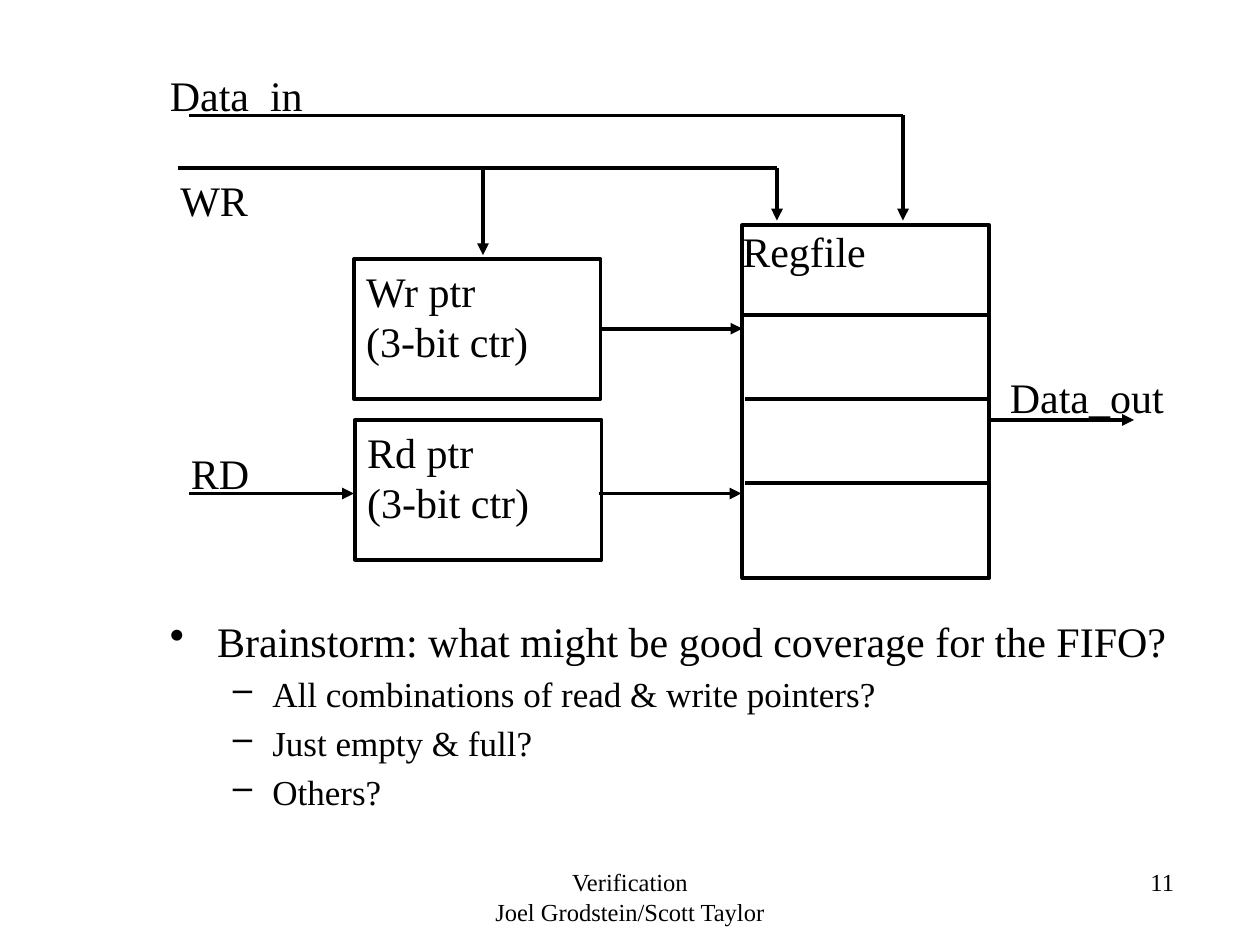
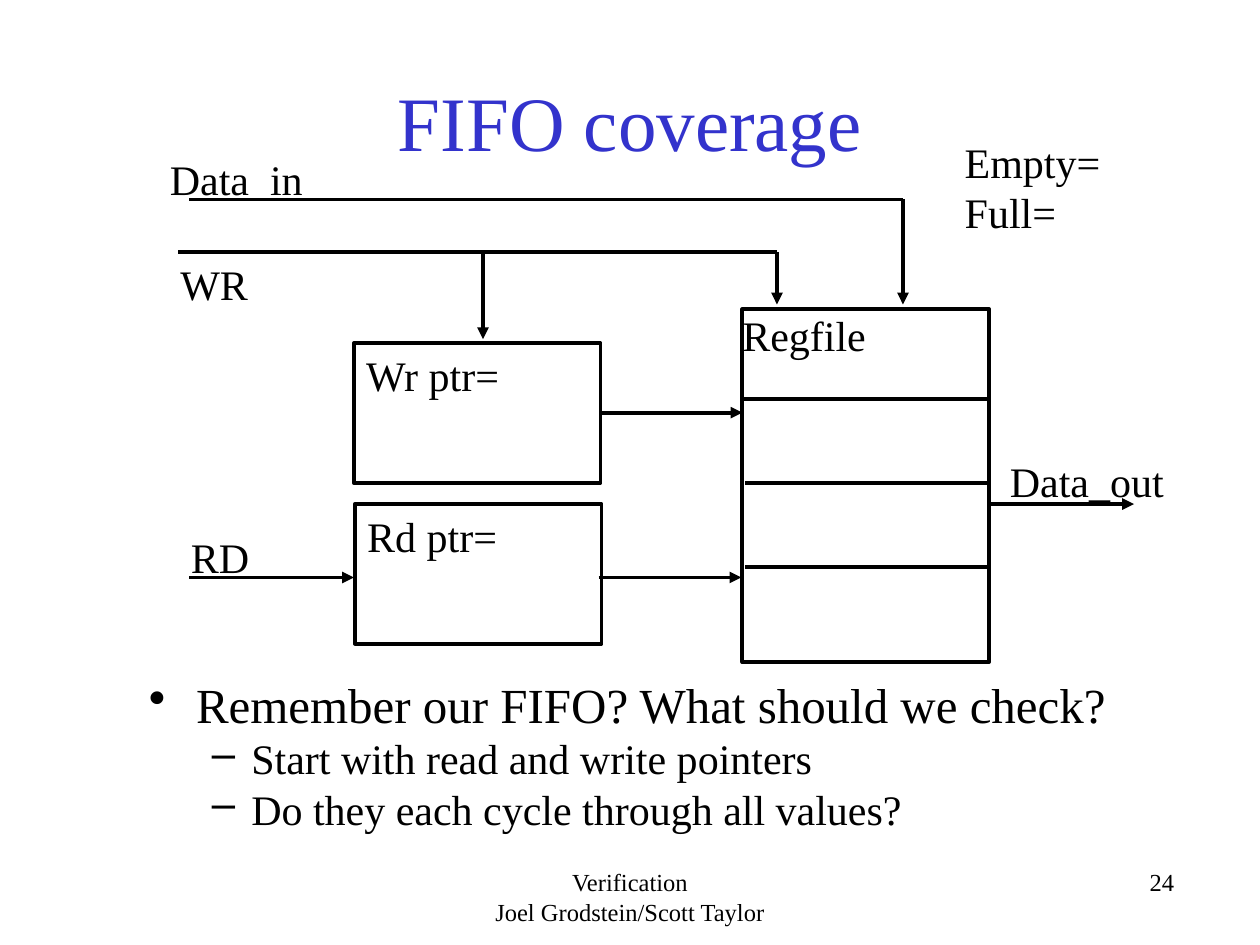
import dataclasses

import lxml.etree
import pptx
import pptx.dml.color
import pptx.enum.shapes
import pptx.enum.text
import pptx.oxml.ns
import pptx.util


@dataclasses.dataclass(frozen=True)
class Theme:
    """Colours, font and type sizes of the deck."""
    ink: pptx.dml.color.RGBColor = pptx.dml.color.RGBColor(0, 0, 0)
    title_ink: pptx.dml.color.RGBColor = pptx.dml.color.RGBColor(0x33, 0x33, 0xCC)
    font: str = "Times New Roman"
    title: int = 44
    label: int = 24
    footer: int = 14
    stroke: float = 2.25


theme = Theme()
align = pptx.enum.text.PP_ALIGN
anchor = pptx.enum.text.MSO_ANCHOR
qualify = pptx.oxml.ns.qn

deck = pptx.Presentation()
deck.slide_width = pptx.util.Inches(10)
deck.slide_height = pptx.util.Inches(7.5)
cell = deck.slide_width / 120  # square grid: 120 columns by 90 rows


def write(frame, lines, size=theme.label, alignment=align.LEFT, color=theme.ink):
    """Fill a text frame with one paragraph per line, all in one style."""
    frame.word_wrap = True
    for index, line in enumerate(lines):
        para = frame.add_paragraph() if index else frame.paragraphs[0]
        para.text = line
        para.alignment = alignment
        para.font.name = theme.font
        para.font.size = pptx.util.Pt(size)
        para.font.color.rgb = color


def draw_line(slide, start_column, start_row, end_column, end_row, arrow):
    """Draw a straight wire between two grid points, with an optional arrowhead."""
    ends = [round(cell * part) for part in (start_column, start_row, end_column, end_row)]
    wire = slide.shapes.add_connector(pptx.enum.shapes.MSO_CONNECTOR.STRAIGHT, *ends)
    wire.line.color.rgb = theme.ink
    wire.line.width = pptx.util.Pt(theme.stroke)
    if arrow:
        outline = wire.line._get_or_add_ln()
        lxml.etree.SubElement(outline, qualify("a:tailEnd"), type="triangle")
    lxml.etree.SubElement(wire._element.spPr, qualify("a:effectLst"))


# Diagram parts, in columns and rows; each slide shifts the rows as a whole.
labels = [
    ("Data_in", 15, 6, 19),
    ("Data_out", 95, 34.75, 21),
    ("WR", 16, 16, 11),
    ("RD", 17, 42, 9),
]
dividers = [(70.7, 30, 94.2), (71, 38, 94.4), (71, 46, 94.4)]
wires = [
    (17, 16, 74, 16, False),      # WR along the top
    (74, 16, 74, 21, True),       # WR into the register file
    (18, 11, 86, 11, False),      # Data_in along the top
    (86, 11, 86, 21, True),       # Data_in into the register file
    (46, 16, 46, 24.3, True),     # WR into the write pointer
    (18, 47, 33.7, 47, True),     # RD into the read pointer
    (57.1, 31.3, 70.7, 31.3, True),
    (57, 47, 70.6, 47, True),
    (94.4, 40, 108, 40, True),    # Data_out
]

# Bullets by level: mark, left margin and hanging indent in columns
bullet_styles = [("\u2022", 4.5, 4.5), ("\u2013", 9.75, 3.75)]

pages = [
    dict(
        number="11", title=None, shift=0,
        write_pointer=["Wr ptr", "(3-bit ctr)"],
        read_pointer=["Rd ptr", "(3-bit ctr)"],
        flags=None,
        body=(15, 58, 99, 25), sizes=(24, 20), gaps=(0.2, 0.2),
        bullets=[
            (0, "Brainstorm: what might be good coverage for the FIFO?"),
            (1, "All combinations of read & write pointers?"),
            (1, "Just empty & full?"),
            (1, "Others?"),
        ],
    ),
    dict(
        number="24", title="FIFO coverage", shift=8,
        write_pointer=["Wr ptr="],
        read_pointer=["Rd ptr="],
        flags=["Empty=", "Full="],
        body=(13, 63.6, 96, 16.7), sizes=(28, 24), gaps=(0.2, 0),
        bullets=[
            (0, "Remember our FIFO? What should we check?"),
            (1, "Start with read and write pointers"),
            (1, "Do they each cycle through all values?"),
        ],
    ),
]

for page in pages:
    shift = page["shift"]
    slide = deck.slides.add_slide(deck.slide_layouts[5 if page["title"] else 6])

    if page["title"]:
        heading = slide.shapes.title
        heading.left, heading.top, heading.width, heading.height = (
            round(cell * part) for part in (9, 4, 102, 15))
        heading.text_frame.vertical_anchor = anchor.MIDDLE
        write(heading.text_frame, [page["title"]], theme.title, align.CENTER, theme.title_ink)

    # Text boxes: page number, footer, signal labels and status flags
    texts = [
        ([page["number"]], 75, 82, 38, 6, theme.footer, align.RIGHT),
        (["Verification", "Joel Grodstein/Scott Taylor"],
         41, 82, 38, 6, theme.footer, align.CENTER),
    ]
    texts += [([name], column, row + shift, width, 6, theme.label, align.LEFT)
              for name, column, row, width in labels]
    if page["flags"]:
        texts.append((page["flags"], 90.7, 12.4, 17.3, 10.9, theme.label, align.LEFT))
    for lines, *place, size, alignment in texts:
        box = slide.shapes.add_textbox(*(round(cell * part) for part in place))
        write(box.text_frame, lines, size, alignment)

    # Bulleted question
    body = slide.shapes.add_textbox(*(round(cell * part) for part in page["body"]))
    write(body.text_frame, [text for _, text in page["bullets"]])
    for para, (level, _) in zip(body.text_frame.paragraphs, page["bullets"]):
        mark, margin, hanging = bullet_styles[level]
        size = page["sizes"][level]
        para.level = level
        para.font.size = pptx.util.Pt(size)
        para.space_before = pptx.util.Pt(size * page["gaps"][level])
        properties = para._p.get_or_add_pPr()
        properties.set("marL", str(round(cell * margin)))
        properties.set("indent", str(-round(cell * hanging)))
        bullet = lxml.etree.Element(qualify("a:buChar"), char=mark)
        properties.find(qualify("a:defRPr")).addprevious(bullet)

    # Register file and pointer counters
    blocks = [
        (["Regfile"], 70.7, 21.45, 33.6),
        (page["read_pointer"], 33.8, 40, 13.3),
        (page["write_pointer"], 33.7, 24.7, 13.3),
    ]
    for lines, column, row, height in blocks:
        block = slide.shapes.add_shape(
            pptx.enum.shapes.MSO_SHAPE.RECTANGLE,
            *(round(cell * part) for part in (column, row + shift, 23.5, height)))
        block.shadow.inherit = False
        block.fill.background()
        block.line.color.rgb = theme.ink
        block.line.width = pptx.util.Pt(theme.stroke)
        block.text_frame.vertical_anchor = anchor.TOP
        if lines == ["Regfile"]:
            block.text_frame.margin_left = block.text_frame.margin_top = 0
        write(block.text_frame, lines)

    for left, row, right in dividers:
        draw_line(slide, left, row + shift, right, row + shift, False)
    for left, top, right, bottom, arrow in wires:
        draw_line(slide, left, top + shift, right, bottom + shift, arrow)

deck.save("out.pptx")
